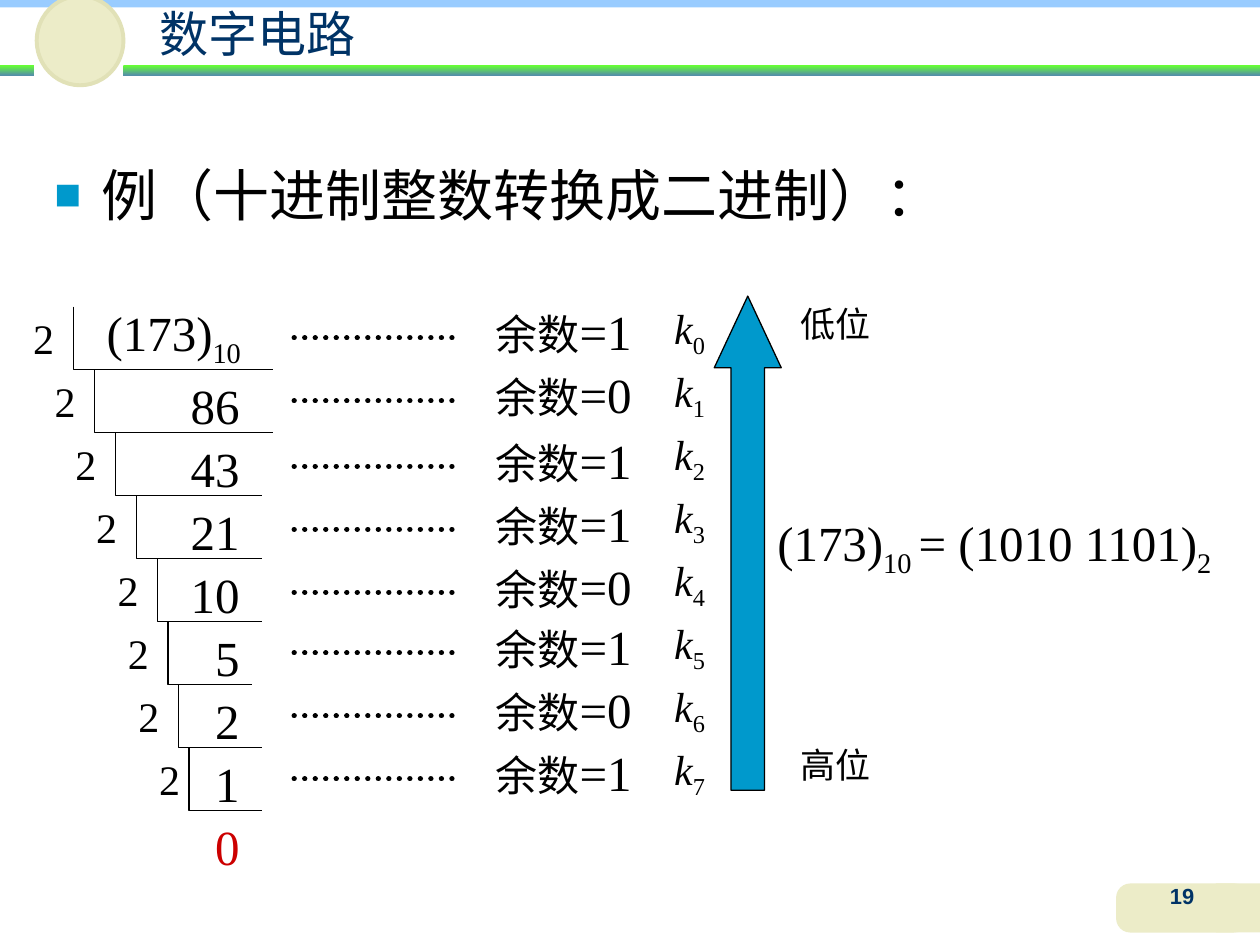
from lxml import etree
from pptx import Presentation
from pptx.dml.color import RGBColor
from pptx.enum.dml import MSO_LINE
from pptx.enum.shapes import MSO_CONNECTOR, MSO_SHAPE
from pptx.enum.text import MSO_ANCHOR, MSO_AUTO_SIZE, PP_ALIGN
from pptx.oxml.ns import qn
from pptx.util import Cm, Pt

STRAIGHT = MSO_CONNECTOR.STRAIGHT
RECTANGLE, ROUNDED = MSO_SHAPE.RECTANGLE, MSO_SHAPE.ROUNDED_RECTANGLE
OVAL, UP_ARROW = MSO_SHAPE.OVAL, MSO_SHAPE.UP_ARROW
LEFT, CENTER, RIGHT = PP_ALIGN.LEFT, PP_ALIGN.CENTER, PP_ALIGN.RIGHT
TOP = MSO_ANCHOR.TOP
NO_AUTOFIT = MSO_AUTO_SIZE.NONE
DOTTED = MSO_LINE.ROUND_DOT

BLACK = RGBColor(0x00, 0x00, 0x00)
NAVY = RGBColor(0x00, 0x33, 0x66)
RED = RGBColor(0xCC, 0x00, 0x00)
BLUE = RGBColor(0x00, 0x99, 0xCC)
SKY = RGBColor(0x99, 0xCC, 0xFF)
CREAM = RGBColor(0xEC, 0xEC, 0xC8)
CREAM_EDGE = RGBColor(0xE1, 0xE1, 0xB7)
GREEN = RGBColor(0x66, 0xFF, 0x33)
TEAL = RGBColor(0x54, 0x90, 0xA8)

SERIF = "Times New Roman"
STEP = 1.27
LADDER_TOP = 6.18
DIGIT_TOP = 5.97
# divisor left, bracket left, bracket right, quotient, remainder, dotted line height
DIVISIONS = [
    (0.42, 1.48, 5.50, "86", 1, 6.81),
    (0.85, 1.90, 5.50, "43", 0, 8.08),
    (1.27, 2.33, 5.29, "21", 1, 9.40),
    (1.69, 2.75, 5.29, "10", 1, 10.67),
    (2.12, 3.17, 5.29, "5", 0, 11.94),
    (2.33, 3.39, 5.08, "2", 1, 13.16),
    (2.54, 3.60, 5.29, "1", 0, 14.43),
    (2.96, 3.81, 5.29, "0", 1, 15.70),
]


def style_paragraph(paragraph, size, color, font, align=LEFT, bold=None):
    """Set the look shared by all runs of a paragraph."""
    paragraph.alignment = align
    paragraph.space_before = Pt(0)
    paragraph.font.name = font
    paragraph.font.size = Pt(size)
    paragraph.font.color.rgb = color
    paragraph.font.bold = bold


def add_label(slide, box, runs, size, color=BLACK, font=SERIF, align=LEFT,
              bold=None, inset=0.25):
    """Add a text box from (text, size, italic, subscript) runs."""
    label = slide.shapes.add_textbox(*map(Cm, box))
    frame = label.text_frame
    frame.word_wrap = True
    frame.margin_left = frame.margin_right = Cm(inset)
    paragraph = frame.paragraphs[0]
    style_paragraph(paragraph, size, color, font, align, bold)
    for text, run_size, italic, subscript in runs:
        run = paragraph.add_run()
        run.text = text
        if run_size:
            run.font.size = Pt(run_size)
        if italic:
            run.font.italic = True
        if subscript:
            run._r.get_or_add_rPr().set("baseline", "-25000")
    return paragraph


def plain(text):
    """Return a run without any formatting of its own."""
    return text, None, False, False


def sub(text):
    """Return a subscript run."""
    return text, None, False, True


def add_block(slide, kind, box, fill, edge=None, edge_width=0.75):
    """Add a filled preset shape, outlined only if an edge colour is given."""
    block = slide.shapes.add_shape(kind, *map(Cm, box))
    block.shadow.inherit = False
    block.fill.solid()
    block.fill.fore_color.rgb = fill
    if edge is None:
        block.line.fill.background()
    else:
        block.line.color.rgb = edge
        block.line.width = Pt(edge_width)
    return block


def add_gradient_bar(slide, box):
    """Add a header bar that fades downwards from green to teal."""
    bar = add_block(slide, RECTANGLE, box, GREEN)
    bar.fill.gradient()
    bar.fill.gradient_angle = 270
    for stop, color, position in zip(bar.fill.gradient_stops, (GREEN, TEAL), (0, 1)):
        stop.color.rgb = color
        stop.position = position


def add_bracket(slide, left, top, right):
    """Add the L-shaped bracket of one division step."""
    builder = slide.shapes.build_freeform(Cm(left), Cm(top))
    corner = Cm(top + STEP)
    builder.add_line_segments([(Cm(left), corner), (Cm(right), corner)], close=False)
    bracket = builder.convert_to_shape()
    bracket.shadow.inherit = False
    bracket.fill.background()
    bracket.line.color.rgb = BLACK
    bracket.line.width = Pt(0.75)


def add_dots(slide, height):
    """Add the dotted leader from a quotient to its remainder."""
    dots = slide.shapes.add_connector(STRAIGHT, Cm(5.93), Cm(height), Cm(9.31), Cm(height))
    dots.line.color.rgb = BLACK
    dots.line.width = Pt(3)
    dots.line.dash_style = DOTTED
    dots.line._get_or_add_ln().set("cap", "rnd")
    etree.SubElement(dots._element.spPr, qn("a:effectLst"))


def add_bullet(paragraph):
    """Give a paragraph the square blue bullet and a hanging indent."""
    properties = paragraph._p.get_or_add_pPr()
    properties.set("marL", str(Cm(0.95)))
    properties.set("indent", str(-Cm(0.95)))
    color = etree.SubElement(properties, qn("a:buClr"))
    etree.SubElement(color, qn("a:srgbClr"), val=str(BLUE))
    etree.SubElement(properties, qn("a:buSzPct"), val="80000")
    etree.SubElement(properties, qn("a:buFont"), typeface="Arial")
    etree.SubElement(properties, qn("a:buChar"), char="■")


def fill_placeholder(placeholder, box, text):
    """Move a placeholder, write its text and return the paragraph."""
    placeholder.left, placeholder.top, placeholder.width, placeholder.height = map(Cm, box)
    frame = placeholder.text_frame
    frame.text = text
    frame.auto_size = NO_AUTOFIT
    frame.vertical_anchor = TOP
    return frame.paragraphs[0]


def add_header(slide):
    """Draw the header and footer decoration, title and page number."""
    add_gradient_bar(slide, (2.49, 1.32, 22.91, 0.2))
    add_gradient_bar(slide, (0, 1.32, 0.69, 0.2))
    add_block(slide, RECTANGLE, (24.51, 17.81, 0.89, 0.99), CREAM)
    add_block(slide, ROUNDED, (22.5, 17.81, 2.67, 0.99), CREAM).adjustments[0] = 0.29
    add_block(slide, RECTANGLE, (0, -0.05, 25.4, 0.2), SKY)
    add_block(slide, OVAL, (0.74, -0.08, 1.75, 1.8), CREAM, CREAM_EDGE, 2.25)
    title = slide.shapes.title
    heading = fill_placeholder(title, (2.49, 0.08, 5.41, 1.07), "数字电路")
    frame = title.text_frame
    frame.margin_left = frame.margin_right = Cm(0.05)
    frame.margin_top = frame.margin_bottom = 0
    style_paragraph(heading, 28, NAVY, "Arial", CENTER)
    page = add_label(slide, (22.66, 17.78, 2.34, 0.84), [plain("19")], 12.5, NAVY,
                     "Arial", CENTER, True)
    page.line_spacing = 0.8


def add_division(slide, index, division):
    """Draw one step of the division ladder with its remainder."""
    divisor_left, left, right, quotient, remainder, height = division
    top = LADDER_TOP + index * STEP
    add_bracket(slide, left, top, right)
    add_label(slide, (divisor_left, top, 1.06, STEP), [plain("2")], 24)
    add_label(slide, (3.39, top + STEP, 1.69, 1.45), [plain(quotient)], 28,
              RED if quotient == "0" else BLACK, align=RIGHT)
    add_dots(slide, height)
    add_label(slide, (9.74, height - 0.85, 3.6, 1.45),
              [("余数", 24, False, False), plain(f"={remainder}")], 28)
    add_label(slide, (13.34, DIGIT_TOP + index * STEP, 1.48, 1.42),
              [("k", None, True, False), sub(str(index))], 24)


def main():
    """Build the slide and save it."""
    deck = Presentation()
    deck.slide_width, deck.slide_height = Cm(25.4), Cm(19.05)
    slide = deck.slides.add_slide(deck.slide_layouts[1])
    add_header(slide)
    example = fill_placeholder(slide.placeholders[1], (0.84, 3.1, 24, 12.5),
                               "例（十进制整数转换成二进制）：")
    add_bullet(example)
    style_paragraph(example, 32, BLACK, "Cabin")
    add_label(slide, (1.9, 5.97, 3.81, 1.6), [plain("(173)"), sub("10")], 28)
    for index, division in enumerate(DIVISIONS):
        add_division(slide, index, division)
    arrow = add_block(slide, UP_ARROW, (14.4, 5.97, 1.35, 9.96), BLUE, BLACK)
    arrow.adjustments[0], arrow.adjustments[1] = 0.5, 1.07
    for top, order in ((5.97, "低位"), (14.86, "高位")):
        add_label(slide, (15.88, top, 2.11, 1.12), [plain(order)], 20)
    add_label(slide, (15.67, 10.21, 9.53, 1.6),
              [plain("(173)"), sub("10 "), plain("= (1010 1101)"), sub("2")], 28, inset=0)
    deck.save("out.pptx")


if __name__ == "__main__":
    main()
